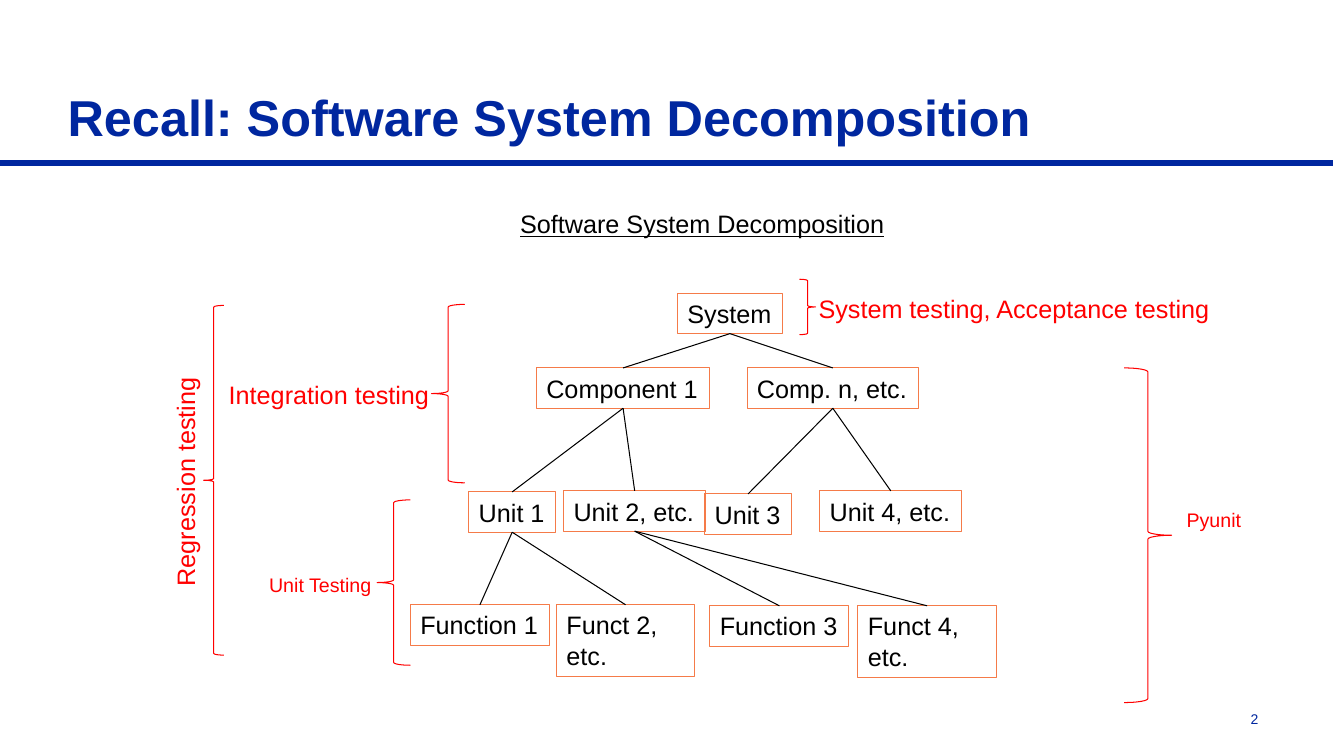
from pptx import Presentation
from pptx.dml.color import RGBColor
from pptx.enum.shapes import MSO_CONNECTOR, MSO_SHAPE
from pptx.enum.text import MSO_ANCHOR, MSO_AUTO_SIZE, PP_ALIGN
from pptx.oxml.ns import qn
from pptx.util import Inches, Pt

NAVY = RGBColor(0x00, 0x27, 0x9F)
ORANGE = RGBColor(0xF5, 0x7B, 0x49)
RED = RGBColor(0xFF, 0x00, 0x00)
BLACK = RGBColor(0x00, 0x00, 0x00)

TITLE = "Recall: Software System Decomposition"
HEADING = "Software System Decomposition"
LINE_H, TWO_LINE_H = 0.4, 0.71

# text: (left, top, width, parent)
NODES = {
    "System": (6.72, 2.91, 1.04, None),
    "Component 1": (5.32, 3.65, 1.72, "System"),
    "Comp. n, etc.": (7.41, 3.65, 1.7, "System"),
    "Unit 1": (4.65, 4.88, 0.86, "Component 1"),
    "Unit 2, etc.": (5.59, 4.87, 1.41, "Component 1"),
    "Unit 3": (6.99, 4.9, 0.86, "Comp. n, etc."),
    "Unit 4, etc.": (8.13, 4.87, 1.41, "Comp. n, etc."),
    "Function 1": (4.07, 6, 1.38, "Unit 1"),
    "Funct 2, etc.": (5.52, 6, 1.37, "Unit 1"),
    "Function 3": (7.04, 6.01, 1.38, "Unit 2, etc."),
    "Funct 4, etc.": (8.51, 6.01, 1.37, "Unit 2, etc."),
}
TWO_LINE_NODES = ("Funct 2, etc.", "Funct 4, etc.")

# text, left, top, width, height, size, rotation
TEST_LABELS = [
    ("Integration testing", 2.17, 3.71, 2.21, 0.4, 18, 0),
    ("Regression testing", 0.69, 4.57, 2.29, 0.4, 18, 270),
    ("Unit Testing", 2.57, 5.63, 1.22, 0.34, 14, 0),
    ("System testing, Acceptance testing", 8.02, 2.86, 4.11, 0.4, 18, 0),
    ("Pyunit", 11.67, 4.99, 0.75, 0.34, 14, 0),
]

LEFT, RIGHT = MSO_SHAPE.LEFT_BRACE, MSO_SHAPE.RIGHT_BRACE
BRACES = [
    (LEFT, 3.74, 4.96, 0.33, 1.64),
    (LEFT, 4.28, 3.02, 0.33, 1.77),
    (RIGHT, 7.93, 2.77, 0.16, 0.55),
    (LEFT, 2.02, 3.03, 0.2, 3.47),
    (RIGHT, 11.15, 3.65, 0.47, 3.32),
]


def write(sp, text, size, color, wrap=False, align=PP_ALIGN.LEFT):
    tf = sp.text_frame
    tf.word_wrap = wrap
    tf.auto_size = MSO_AUTO_SIZE.SHAPE_TO_FIT_TEXT
    tf.vertical_anchor = MSO_ANCHOR.TOP
    p = tf.paragraphs[0]
    p.text = text
    p.alignment = align
    p.font.name = "Arial"
    p.font.size = Pt(size)
    p.font.color.rgb = color
    return p


def add_label(shapes, text, box, size, color, **options):
    sp = shapes.add_textbox(*map(Inches, box))
    return sp, write(sp, text, size, color, **options)


def add_outline(shapes, kind, box, color):
    sp = shapes.add_shape(kind, *map(Inches, box))
    sp.shadow.inherit = False
    sp.fill.background()
    sp.line.color.rgb = color
    sp.line.width = Pt(0.75)
    return sp


def add_line(shapes, start, end, color, width):
    line = shapes.add_connector(MSO_CONNECTOR.STRAIGHT, *map(Inches, start + end))
    line.line.color.rgb = color
    line.line.width = Pt(width)
    sp_pr = line._element.spPr
    sp_pr.append(sp_pr.makeelement(qn("a:effectLst"), {}))
    return line


def main():
    prs = Presentation()
    prs.slide_width, prs.slide_height = Inches(13.33), Inches(7.5)
    slide = prs.slides.add_slide(prs.slide_layouts[5])
    shapes = slide.shapes

    title = shapes.title
    title.left, title.top, title.width, title.height = map(
        Inches, (0.57, 0.29, 11.88, 1.21))
    p = write(title, TITLE, 36, NAVY, wrap=True)
    p.font.bold = True
    title.text_frame.auto_size = MSO_AUTO_SIZE.NONE
    title.text_frame.vertical_anchor = MSO_ANCHOR.BOTTOM
    add_line(shapes, (0, 1.62), (13.22, 1.62), NAVY, 4)
    add_label(shapes, "2", (11.92, 7, 0.66, 0.27), 10, NAVY,
              wrap=True, align=PP_ALIGN.RIGHT)

    _, p = add_label(shapes, HEADING, (5.06, 2.02, 3.85, LINE_H), 18, BLACK)
    p.font.underline = True

    boxes = {}
    for text, (left, top, width, parent) in NODES.items():
        two_lines = text in TWO_LINE_NODES
        height = TWO_LINE_H if two_lines else LINE_H
        sp = add_outline(shapes, MSO_SHAPE.RECTANGLE,
                         (left, top, width, height), ORANGE)
        write(sp, text, 18, BLACK, wrap=two_lines)
        boxes[text] = sp
        if parent:
            branch = add_line(shapes, (0, 0), (1, 1), BLACK, 0.75)
            branch.begin_connect(sp, 0)
            branch.end_connect(boxes[parent], 2)

    for text, *box, size, rotation in TEST_LABELS:
        sp, _ = add_label(shapes, text, box, size, RED)
        sp.rotation = rotation
    for kind, *box in BRACES:
        add_outline(shapes, kind, box, RED)

    prs.save("out.pptx")


if __name__ == "__main__":
    main()
